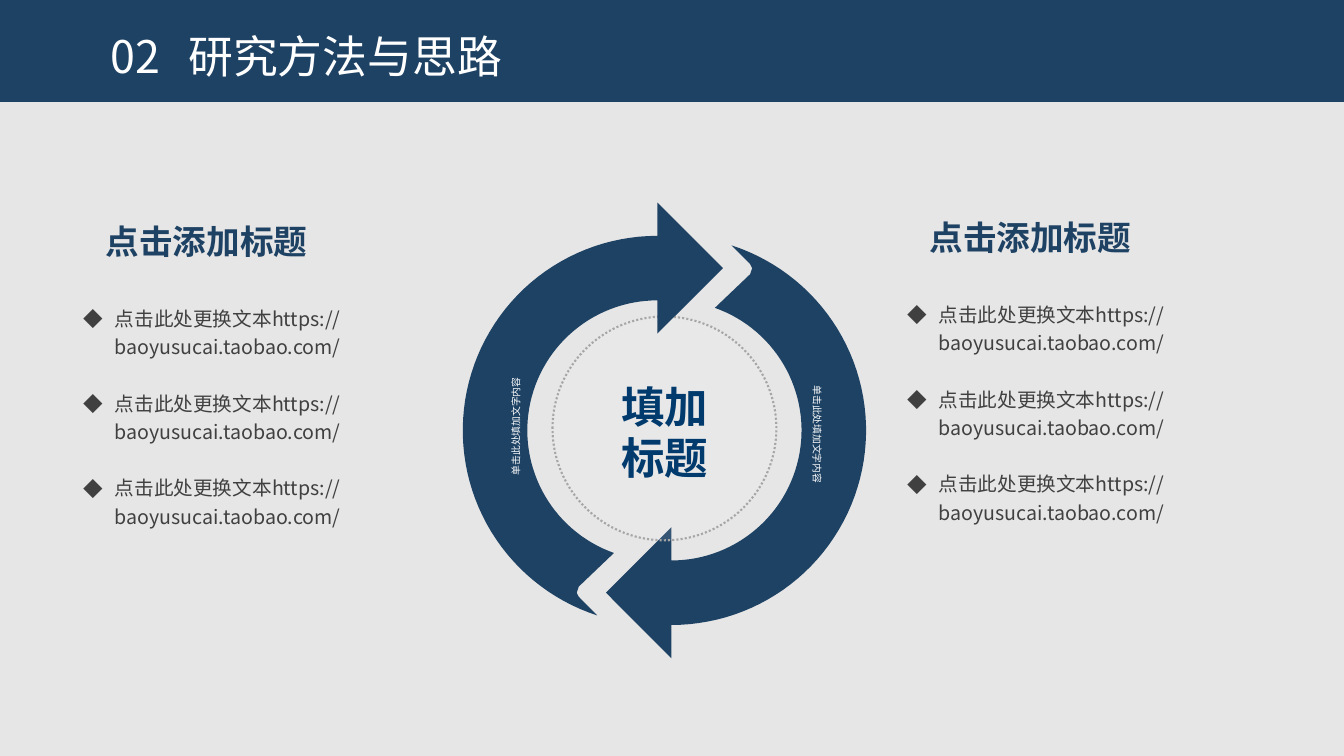
from math import cos, radians, sin

from lxml import etree
from pptx import Presentation
from pptx.dml.color import RGBColor
from pptx.enum.dml import MSO_LINE
from pptx.enum.shapes import MSO_SHAPE
from pptx.enum.text import MSO_ANCHOR, PP_ALIGN
from pptx.oxml.ns import qn
from pptx.util import Inches, Pt

NAVY = RGBColor(0x1E, 0x42, 0x64)
DEEP_BLUE = RGBColor(0x01, 0x3B, 0x6D)
WHITE = RGBColor(0xFF, 0xFF, 0xFF)
PALE = RGBColor(0xE7, 0xE6, 0xE6)
MID_GREY = RGBColor(0xA6, 0xA6, 0xA6)
DARK_GREY = RGBColor(0x40, 0x40, 0x40)
RECT, OVAL = MSO_SHAPE.RECTANGLE, MSO_SHAPE.OVAL
DOTTED = MSO_LINE.ROUND_DOT
TOP = MSO_ANCHOR.TOP
LEFT, CENTER, RIGHT = PP_ALIGN.LEFT, PP_ALIGN.CENTER, PP_ALIGN.RIGHT

FONT = "Noto Sans CJK SC"
W, H = 13.33, 7.5
MID_X, MID_Y = 6.59, 4.27      # centre of the cycle
OUTER, INNER, HEAD = 1.93, 1.29, 0.65
SPLIT = 0.07                   # each arrow's sideways shift from the centre
HANG = 0.31
BULLET_TEXT = "点击此处更换文本https://baoyusucai.taobao.com/"


def add_box(s, left, top, width, height, wrap=True):
    sp = s.shapes.add_textbox(Inches(left), Inches(top), Inches(width), Inches(height))
    sp.text_frame.word_wrap = wrap
    sp.text_frame.vertical_anchor = TOP
    return sp


def add_run(p, text, size, color, bold=False):
    r = p.add_run()
    r.text = text
    r.font.size, r.font.bold, r.font.name = Pt(size), bold, FONT
    r.font.color.rgb = color
    etree.SubElement(r.font._element, qn("a:ea"), typeface=FONT)


def set_paragraph(p, leading, align=LEFT, before=0):
    p.alignment = align
    p.line_spacing = Pt(leading)
    p.space_before = Pt(before)


def indent(p, margin, first=0):
    pPr = p._p.get_or_add_pPr()
    pPr.set("marL", str(Inches(margin)))
    pPr.set("indent", str(Inches(first)))
    return pPr


def add_shape(s, kind, left, top, width, height, color):
    sp = s.shapes.add_shape(kind, Inches(left), Inches(top), Inches(width), Inches(height))
    sp.shadow.inherit = False
    sp.fill.solid()
    sp.fill.fore_color.rgb = color
    sp.line.fill.background()
    return sp


def arc(radius, start, end, steps=60):
    """Points around (0, 0); angles run clockwise from the top."""
    angles = [radians(start + (end - start) * i / steps) for i in range(steps + 1)]
    return [(radius * sin(a), -radius * cos(a)) for a in angles]


def add_cycle_arrow(s, side):
    """Half-ring arrow; side is 1 for the right one, -1 for its half-turn."""
    notch = [(0.78, -1.65), (0.8, -1.61), (0.78, -1.55)]
    band = (OUTER + INNER) / 2
    tip = [(0, band - HEAD), (-HEAD, band), (0, band + HEAD)]
    outline = arc(OUTER, 180, 18) + notch + arc(INNER, 19.5, 180) + tip
    points = [(Inches(MID_X + side * (x + SPLIT)), Inches(MID_Y + side * y))
              for x, y in outline]
    builder = s.shapes.build_freeform(*points[0])
    builder.add_line_segments(points[1:], close=True)
    sp = builder.convert_to_shape()
    sp.shadow.inherit = False
    sp.fill.solid()
    sp.fill.fore_color.rgb = NAVY
    sp.line.fill.background()


def add_dotted_circle(s):
    sp = add_shape(s, OVAL, 5.48, 3.14, 2.22, 2.22, WHITE)
    color = sp.fill._xPr.find(qn("a:solidFill"))[0]
    etree.SubElement(color, qn("a:alpha"), val="10000")
    sp.line.color.rgb = MID_GREY
    sp.line.width = Pt(1.5)
    sp.line.dash_style = DOTTED


def add_arc_label(s, left, top, rotation):
    sp = add_box(s, left, top, 3.09, 2.88, wrap=False)
    sp.rotation = rotation
    p = sp.text_frame.paragraphs[0]
    set_paragraph(p, 8.5, CENTER)
    add_run(p, "单击此处填加文字内容", 7, WHITE)


def add_title(s):
    p = add_box(s, 1, 0.28, 6.04, 0.72).text_frame.paragraphs[0]
    set_paragraph(p, 35)
    tabs = etree.SubElement(p._p.get_or_add_pPr(), qn("a:tabLst"))
    etree.SubElement(tabs, qn("a:tab"), pos=str(Inches(0.77)), algn="l")
    add_run(p, "02\t研究方法与思路", 32, WHITE)


def add_center_text(s):
    tf = add_box(s, 6.04, 3.71, 1.09, 1.15, wrap=False).text_frame
    tf.margin_left = tf.margin_right = Inches(0.11)
    tf.margin_top = tf.margin_bottom = Inches(0.06)
    for i, line in enumerate(["填加", "标题"]):
        p = tf.add_paragraph() if i else tf.paragraphs[0]
        set_paragraph(p, 37, RIGHT)
        add_run(p, line, 31, DEEP_BLUE, bold=True)


def add_text_column(s, left, top):
    tf = add_box(s, left, top, 3.49, 3.17).text_frame
    p = tf.paragraphs[0]
    set_paragraph(p, 29)
    indent(p, 0.22)
    add_run(p, "点击添加标题", 24, NAVY, bold=True)
    for before in (29, 20.2, 20.2):
        p = tf.add_paragraph()
        set_paragraph(p, 20.2, before=before)
        pPr = indent(p, HANG, -HANG)
        etree.SubElement(pPr, qn("a:buFont"), typeface=FONT)
        etree.SubElement(pPr, qn("a:buChar"), char="◆")
        add_run(p, BULLET_TEXT, 14, DARK_GREY)


def main():
    prs = Presentation()
    prs.slide_width, prs.slide_height = Inches(W), Inches(H)
    s = prs.slides.add_slide(prs.slide_layouts[6])
    s.background.fill.solid()
    s.background.fill.fore_color.rgb = PALE

    add_shape(s, RECT, 0, 0, W, 1.01, NAVY)
    add_cycle_arrow(s, 1)
    add_title(s)
    add_dotted_circle(s)
    add_cycle_arrow(s, -1)
    add_arc_label(s, 4.9, 2.79, 270)
    add_arc_label(s, 5.23, 2.87, 90)
    add_center_text(s)
    add_text_column(s, 0.73, 2.14)
    add_text_column(s, 8.9, 2.1)
    prs.save("out.pptx")


if __name__ == "__main__":
    main()
